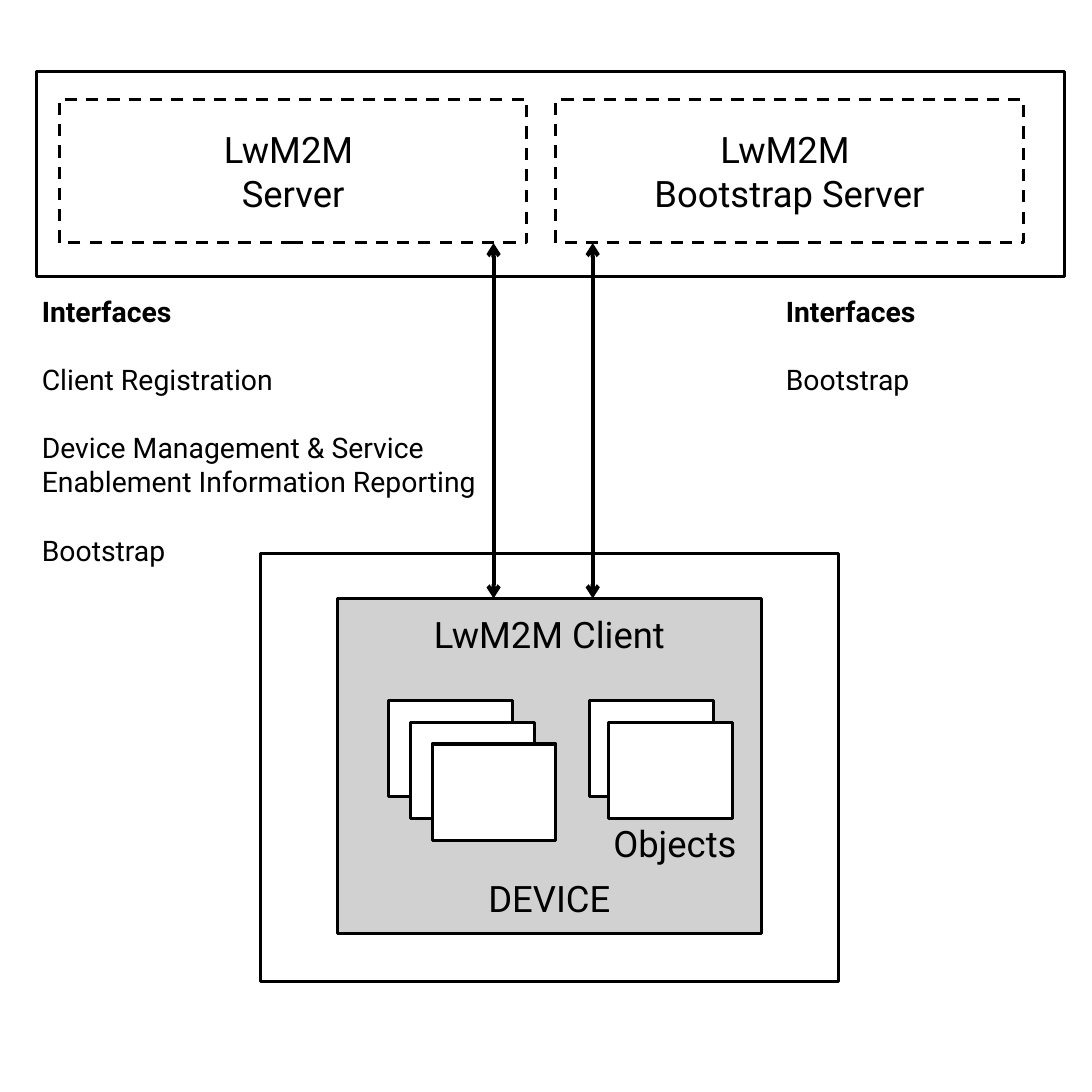
from dataclasses import dataclass

from lxml import etree
from pptx import Presentation
from pptx.dml.color import RGBColor
from pptx.enum.dml import MSO_LINE
from pptx.enum.shapes import MSO_CONNECTOR, MSO_SHAPE
from pptx.enum.text import MSO_ANCHOR, PP_ALIGN
from pptx.oxml.ns import qn
from pptx.shapes.base import BaseShape
from pptx.slide import Slide
from pptx.util import Cm, Pt

RECTANGLE = MSO_SHAPE.RECTANGLE
STRAIGHT = MSO_CONNECTOR.STRAIGHT
DASH = MSO_LINE.DASH
MIDDLE, TOP = MSO_ANCHOR.MIDDLE, MSO_ANCHOR.TOP
CENTER, LEFT = PP_ALIGN.CENTER, PP_ALIGN.LEFT

FONT = "Roboto"
COLOURS = {"ink": "000000", "paper": "FFFFFF", "client": "D1D1D1"}
SLIDE_SIDE = 19.05
SERVER_BOTTOM, CLIENT_TOP = 4.24, 10.44
ARROW_COLUMNS = (8.61, 10.34)
CARD_WIDTH, CARD_HEIGHT = 2.16, 1.68
CARD_TOP, CARD_DROP = 12.22, 0.38


@dataclass
class Box:
    left: float
    top: float
    width: float
    height: float
    lines: tuple[str, ...] = ()
    gap: float = 0
    fill: str = "paper"
    dashed: bool = False


@dataclass
class Stack:
    left: float
    shift: float
    count: int


@dataclass
class Label:
    left: float
    top: float
    width: float
    height: float
    lines: tuple[str, ...]
    size: float = 14
    gap: float = 17
    align: PP_ALIGN = LEFT
    bold_heading: bool = True


BOXES = (
    Box(0.64, 1.24, 17.93, 3.58),
    Box(4.55, 9.65, 10.08, 7.47),
    Box(9.7, 1.73, 8.15, 2.51, ("LwM2M ", "Bootstrap Server"), dashed=True),
    Box(1.04, 1.73, 8.15, 2.51, ("LwM2M ", "Server"), dashed=True),
    Box(5.89, CLIENT_TOP, 7.39, 5.84, ("LwM2M Client", "DEVICE"), gap=109, fill="client"),
)
STACKS = (Stack(6.78, 0.38, 3), Stack(10.29, 0.33, 2))
LABELS = (
    Label(9.22, 14.2, 5.11, 0.91, ("Objects",), 18, 0, CENTER, False),
    Label(0.48, 5, 8.53, 5.16, (
        "Interfaces",
        "Client Registration",
        "Device Management & Service Enablement Information Reporting",
        "Bootstrap",
    )),
    Label(13.46, 5, 5.11, 2.08, ("Interfaces", "Bootstrap")),
)


def colour(name: str) -> RGBColor:
    return RGBColor.from_string(COLOURS[name])


def write_lines(shape: BaseShape, lines: tuple[str, ...], size: float, gap: float,
                align: PP_ALIGN, anchor: MSO_ANCHOR, bold_heading: bool = False) -> None:
    frame = shape.text_frame
    frame.word_wrap = True
    frame.vertical_anchor = anchor
    for index, line in enumerate(lines):
        para = frame.add_paragraph() if index else frame.paragraphs[0]
        para.text = line
        para.alignment = align
        para.space_before = Pt(gap if index else 0)
        for span in para.runs:
            span.font.name = FONT
            span.font.size = Pt(size)
            span.font.bold = bold_heading and index == 0
            span.font.color.rgb = colour("ink")


def draw_box(page: Slide, box: Box) -> None:
    shape = page.shapes.add_shape(
        RECTANGLE, Cm(box.left), Cm(box.top), Cm(box.width), Cm(box.height))
    shape.shadow.inherit = False
    shape.fill.solid()
    shape.fill.fore_color.rgb = colour(box.fill)
    shape.line.color.rgb = colour("ink")
    shape.line.width = Pt(1.5)
    if box.dashed:
        shape.line.dash_style = DASH
    write_lines(shape, box.lines, 18, box.gap, CENTER, MIDDLE)


def draw_stack(page: Slide, stack: Stack) -> None:
    for index in range(stack.count):
        draw_box(page, Box(stack.left + index * stack.shift, CARD_TOP + index * CARD_DROP,
                           CARD_WIDTH, CARD_HEIGHT))


def draw_label(page: Slide, label: Label) -> None:
    shape = page.shapes.add_textbox(
        Cm(label.left), Cm(label.top), Cm(label.width), Cm(label.height))
    write_lines(shape, label.lines, label.size, label.gap, label.align, TOP,
                label.bold_heading)


def draw_arrow(page: Slide, column: float) -> None:
    arrow = page.shapes.add_connector(
        STRAIGHT, Cm(column), Cm(CLIENT_TOP), Cm(column), Cm(SERVER_BOTTOM))
    arrow.line.color.rgb = colour("ink")
    arrow.line.width = Pt(2)
    properties = arrow._element.spPr
    outline = properties.find(qn("a:ln"))
    for end in ("a:headEnd", "a:tailEnd"):
        etree.SubElement(outline, qn(end), type="arrow")
    etree.SubElement(properties, qn("a:effectLst"))


def main() -> None:
    deck = Presentation()
    deck.slide_width = deck.slide_height = Cm(SLIDE_SIDE)
    page = deck.slides.add_slide(deck.slide_layouts[6])
    for box in BOXES:
        draw_box(page, box)
    for stack in STACKS:
        draw_stack(page, stack)
    for column in ARROW_COLUMNS:
        draw_arrow(page, column)
    for label in LABELS:
        draw_label(page, label)
    deck.save("out.pptx")


if __name__ == "__main__":
    main()
